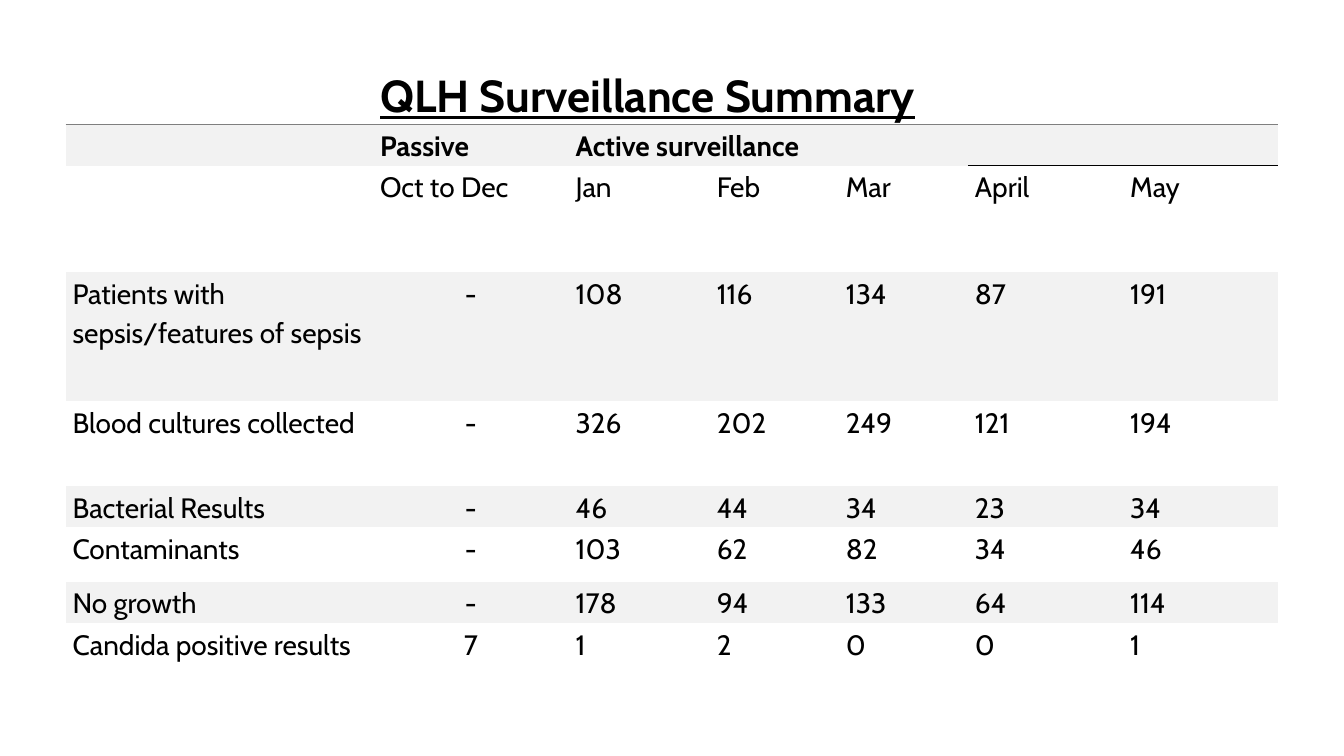
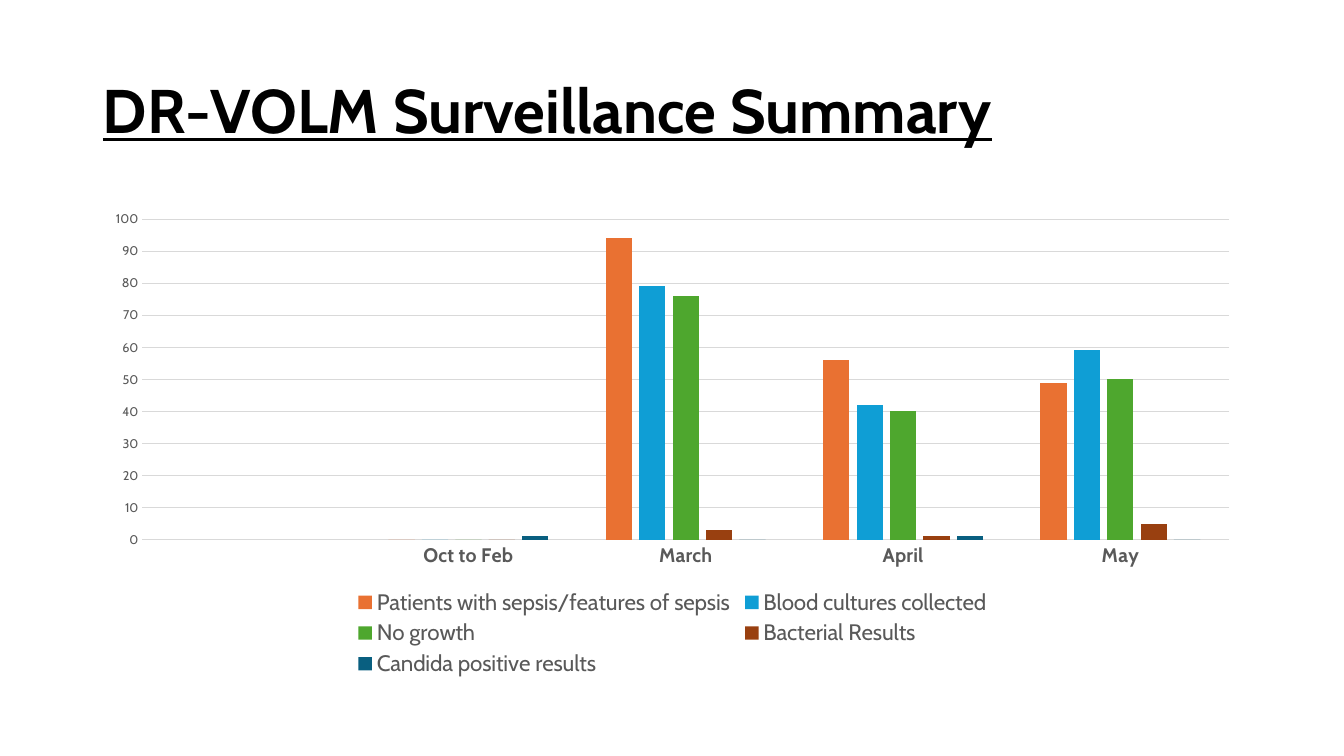
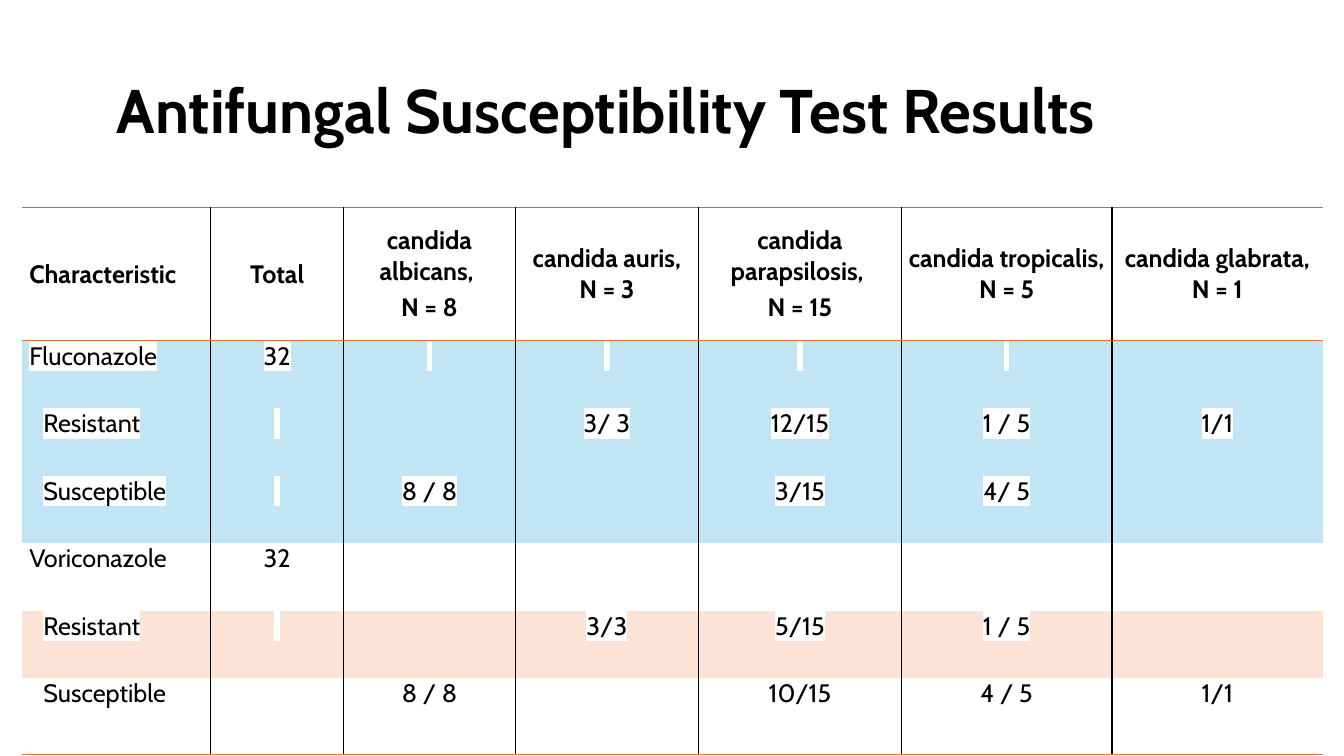
"""Build three slides on candida surveillance and antifungal susceptibility."""
from lxml.etree import SubElement
from pptx import Presentation
from pptx.chart.data import CategoryChartData
from pptx.dml.color import RGBColor
from pptx.enum.chart import XL_CHART_TYPE, XL_LEGEND_POSITION, XL_TICK_MARK
from pptx.enum.text import MSO_ANCHOR, PP_ALIGN
from pptx.oxml.ns import qn
from pptx.util import Inches, Pt

BLACK = RGBColor(0x00, 0x00, 0x00)
WHITE = RGBColor(0xFF, 0xFF, 0xFF)
RULE_GREY = RGBColor(0x7F, 0x7F, 0x7F)
LABEL_GREY = RGBColor(0x59, 0x59, 0x59)
GRID_GREY = RGBColor(0xD9, 0xD9, 0xD9)
BAND_GREY = RGBColor(0xF2, 0xF2, 0xF2)
BAND_BLUE = RGBColor(0xC1, 0xE5, 0xF5)
BAND_PEACH = RGBColor(0xFB, 0xE3, 0xD6)
ORANGE = RGBColor(0xE9, 0x71, 0x32)
BLUE = RGBColor(0x0F, 0x9E, 0xD5)
GREEN = RGBColor(0x4E, 0xA7, 0x2E)
BROWN = RGBColor(0x99, 0x40, 0x10)
TEAL = RGBColor(0x09, 0x5F, 0x80)

FONT = "Cabin"
PLAIN_TABLE = "{2D5ABB26-0587-4C30-8999-92F81FD0307C}"


def add_plain_table(slide, left, top, widths, heights):
    """Add an unstyled table with the given column widths and row heights."""
    frame = slide.shapes.add_table(
        len(heights), len(widths), Inches(left), Inches(top),
        Inches(sum(widths)), Inches(sum(heights)))
    table = frame.table
    table.first_row = table.horz_banding = False
    table._tbl.tblPr.find(qn("a:tableStyleId")).text = PLAIN_TABLE
    for column, width in zip(table.columns, widths):
        column.width = Inches(width)
    for row, height in zip(table.rows, heights):
        row.height = Inches(height)
    return table


def write_cell(cell, text, side_margin, band, edges, paragraph_format, font_format,
               indent=0, right_indent=0, highlight=None):
    """Give a cell its borders, fill and formatted text."""
    cell.margin_left = cell.margin_right = Inches(side_margin)
    cell.margin_top = cell.margin_bottom = 0
    properties = cell._tc.get_or_add_tcPr()
    for side in ("lnL", "lnR", "lnT", "lnB"):
        edge = SubElement(properties, qn(f"a:{side}"), w=str(Pt(1)))
        if side in edges:
            solid = SubElement(edge, qn("a:solidFill"))
            SubElement(solid, qn("a:srgbClr"), val=str(edges[side]))
        else:
            SubElement(edge, qn("a:noFill"))
    if band is None:
        cell.fill.background()
    else:
        cell.fill.solid()
        cell.fill.fore_color.rgb = band
    if not text:
        return
    cell.text = text
    for paragraph in cell.text_frame.paragraphs:
        for name, value in paragraph_format.items():
            setattr(paragraph, name, value)
        paragraph_properties = paragraph._p.get_or_add_pPr()
        paragraph_properties.set("marL", str(Inches(indent)))
        paragraph_properties.set("marR", str(Inches(right_indent)))
        for run in paragraph.runs:
            for name, value in font_format.items():
                setattr(run.font, name, value)
            run.font.color.rgb = BLACK
            if highlight is not None:
                marker = SubElement(run._r.rPr, qn("a:highlight"))
                SubElement(marker, qn("a:srgbClr"), val=str(highlight))
                run._r.rPr.find(qn("a:solidFill")).addnext(marker)


presentation = Presentation()
presentation.slide_width = Inches(13.33)
presentation.slide_height = Inches(7.5)
title_only, blank = presentation.slide_layouts[5], presentation.slide_layouts[6]

monthly_slide = presentation.slides.add_slide(blank)
monthly_rows = [
    ["", "QLH Surveillance Summary", "", "", "", "", ""],
    ["", "Passive", "Active surveillance", "", "", "", ""],
    ["", "Oct to Dec", "Jan", "Feb", "Mar", "April", "May"],
    ["Patients with sepsis/features of sepsis", "-", "108", "116", "134", "87", "191"],
    ["Blood cultures collected", "-", "326", "202", "249", "121", "194"],
    ["Bacterial Results", "-", "46", "44", "34", "23", "34"],
    ["Contaminants", "-", "103", "62", "82", "34", "46"],
    ["No growth", "-", "178", "94", "133", "64", "114"],
    ["Candida positive results", "7", "1", "2", "0", "0", "1"],
]
monthly_table = add_plain_table(
    monthly_slide, 0.65, 0.61,
    [3.05, 1.94, 1.4, 1.28, 1.28, 1.54, 1.54],
    [0.62, 0.41, 1.06, 1.28, 0.84, 0.41, 0.54, 0.41, 0.84])
for r, values in enumerate(monthly_rows):
    for c, value in enumerate(values):
        edges = {}
        if r == 0:
            edges["lnB"] = RULE_GREY
        elif r == 1:
            edges["lnT"] = RULE_GREY
        if c >= 5 and r in (1, 2):
            edges["lnB" if r == 1 else "lnT"] = BLACK
        centred = c == 1 and r > 2
        write_cell(
            monthly_table.cell(r, c), value, 0.07, BAND_GREY if r % 2 else None, edges,
            {"alignment": PP_ALIGN.CENTER if centred else PP_ALIGN.LEFT,
             "line_spacing": 1.15, "space_after": Pt(8)},
            {"name": FONT, "size": Pt(20 if r else 32), "bold": r < 2,
             "underline": r == 0})
monthly_table.cell(0, 1).merge(monthly_table.cell(0, 5))
monthly_table.cell(1, 2).merge(monthly_table.cell(1, 5))

titled_slides = []
for heading, underlined in (("DR-VOLM Surveillance Summary", True),
                            (" Antifungal Susceptibility Test Results", False)):
    slide = presentation.slides.add_slide(title_only)
    title = slide.shapes.title
    title.left, title.top = Inches(0.92), Inches(0.4)
    title.width, title.height = Inches(11.5), Inches(1.45)
    title.text_frame.text = heading
    title.text_frame.vertical_anchor = MSO_ANCHOR.MIDDLE
    line = title.text_frame.paragraphs[0]
    line.alignment, line.line_spacing = PP_ALIGN.LEFT, 0.9
    title_format = {"name": FONT, "size": Pt(44), "bold": True, "underline": underlined}
    for name, value in title_format.items():
        setattr(line.runs[0].font, name, value)
    line.runs[0].font.color.rgb = BLACK
    titled_slides.append(slide)
summary_slide, susceptibility_slide = titled_slides

summary_series = [
    ("Patients with sepsis/features of sepsis", ORANGE, [None, 0, 94, 56, 49]),
    ("Blood cultures collected", BLUE, [None, 0, 79, 42, 59]),
    ("No growth", GREEN, [None, 0, 76, 40, 50]),
    ("Bacterial Results", BROWN, [None, 0, 3, 1, 5]),
    ("Candida positive results", TEAL, [None, 1, 0, 1, 0]),
]
summary_counts = CategoryChartData()
summary_counts.categories = ["", "Oct to Feb", "March", "April", "May"]
for name, color, counts in summary_series:
    summary_counts.add_series(name, counts)
chart = summary_slide.shapes.add_chart(
    XL_CHART_TYPE.COLUMN_CLUSTERED, Inches(0.92), Inches(2), Inches(11.5), Inches(4.76),
    summary_counts).chart
chart.has_title = False
chart.has_legend = True
chart.legend.position = XL_LEGEND_POSITION.BOTTOM
chart.legend.include_in_layout = False
plot = chart.plots[0]
plot.gap_width, plot.overlap, plot.vary_by_categories = 219, -27, False
for series, (name, color, counts) in zip(plot.series, summary_series):
    series.invert_if_negative = False
    series.format.fill.solid()
    series.format.fill.fore_color.rgb = color

months, counts_axis = chart.category_axis, chart.value_axis
for font, size, bold in ((chart.font, 10, False), (chart.legend.font, 16, False),
                         (months.tick_labels.font, 14, True),
                         (counts_axis.tick_labels.font, 9, False)):
    for name, value in {"name": FONT, "size": Pt(size), "bold": bold}.items():
        setattr(font, name, value)
    font.color.rgb = LABEL_GREY
for axis in (months, counts_axis):
    axis.major_tick_mark = axis.minor_tick_mark = XL_TICK_MARK.NONE
counts_axis.minimum_scale, counts_axis.maximum_scale, counts_axis.major_unit = 0, 100, 10
counts_axis.format.line.fill.background()
for rule in (months.format.line, counts_axis.major_gridlines.format.line):
    rule.color.rgb = GRID_GREY
    rule.width = Pt(0.75)

susceptibility_rows = [
    (None, ["Characteristic", "Total", "candida albicans, \nN = 8", "candida auris, N = 3",
            "candida parapsilosis, \nN = 15", "candida tropicalis, N = 5",
            "candida glabrata, N = 1"]),
    (BAND_BLUE, ["Fluconazole", "32", " ", " ", " ", " ", ""]),
    (BAND_BLUE, ["Resistant", " ", "", "3/ 3", "12/15", "1 / 5", "1/1"]),
    (BAND_BLUE, ["Susceptible", " ", "8 / 8", "", "3/15", "4/ 5", ""]),
    (None, ["Voriconazole", "32", "", "", "", "", ""]),
    (BAND_PEACH, ["Resistant", " ", "", "3/3", "5/15", "1 / 5", ""]),
    (None, ["Susceptible", "", "8 / 8", "", "10/15", "4 / 5", "1/1"]),
]
susceptibility_table = add_plain_table(
    susceptibility_slide, 0.22, 2.06,
    [1.87, 1.32, 1.7, 1.82, 2.01, 2.09, 2.09],
    [1.32] + [0.67] * 5 + [0.76])
last_row, last_column = len(susceptibility_rows) - 1, 6
for r, (band, values) in enumerate(susceptibility_rows):
    for c, value in enumerate(values):
        edges = {}
        if c > 0:
            edges["lnL"] = BLACK
        if c < last_column:
            edges["lnR"] = BLACK
        if r < 2:
            edges["lnT"] = ORANGE if r else RULE_GREY
        if r in (0, last_row):
            edges["lnB"] = ORANGE
        cell = susceptibility_table.cell(r, c)
        spacing = Pt(5 if r else 2)
        write_cell(
            cell, value, 0, band, edges,
            {"alignment": PP_ALIGN.CENTER if c else PP_ALIGN.LEFT,
             "space_before": spacing, "space_after": spacing},
            {"name": FONT, "size": Pt(18), "bold": r == 0},
            indent=0.21 if value in ("Resistant", "Susceptible") else 0.07,
            right_indent=0.07, highlight=WHITE if band else None)
        if r == 0:
            cell.vertical_anchor = MSO_ANCHOR.MIDDLE

presentation.save("out.pptx")
